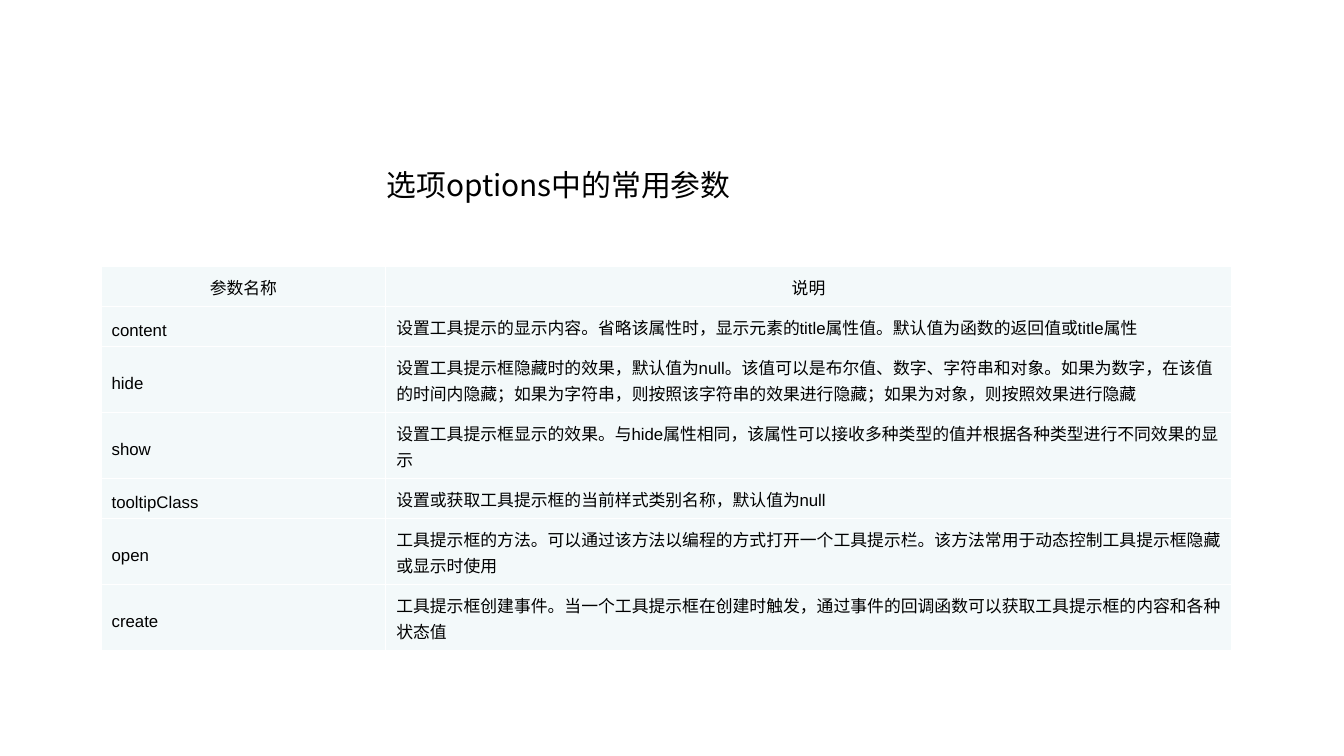
from lxml.etree import SubElement
from pptx import Presentation
from pptx.dml.color import RGBColor
from pptx.enum.text import MSO_ANCHOR, PP_ALIGN
from pptx.oxml.ns import qn
from pptx.util import Cm, Pt

BLACK = RGBColor(0x00, 0x00, 0x00)
WHITE = RGBColor(0xFF, 0xFF, 0xFF)
PALE_BLUE = RGBColor(0xF3, 0xF9, 0xFA)
LATIN_FONT = "Arial"
CHINESE_FONT = "Noto Sans CJK SC"

TITLE = "选项options中的常用参数"
COLUMN_WIDTHS = (5.38, 15.98)
SINGLE_ROW, DOUBLE_ROW = 0.53, 1.08
PARAMETERS = [
    (SINGLE_ROW, "参数名称", "说明"),
    (SINGLE_ROW, "content",
     "设置工具提示的显示内容。省略该属性时，显示元素的title属性值。默认值为函数的返回值或title属性"),
    (DOUBLE_ROW, "hide",
     "设置工具提示框隐藏时的效果，默认值为null。该值可以是布尔值、数字、字符串和对象。"
     "如果为数字，在该值的时间内隐藏；如果为字符串，则按照该字符串的效果进行隐藏；"
     "如果为对象，则按照效果进行隐藏"),
    (DOUBLE_ROW, "show",
     "设置工具提示框显示的效果。与hide属性相同，该属性可以接收多种类型的值并根据各种类型进行不同效果的显示"),
    (SINGLE_ROW, "tooltipClass", "设置或获取工具提示框的当前样式类别名称，默认值为null"),
    (DOUBLE_ROW, "open",
     "工具提示框的方法。可以通过该方法以编程的方式打开一个工具提示栏。"
     "该方法常用于动态控制工具提示框隐藏或显示时使用"),
    (DOUBLE_ROW, "create",
     "工具提示框创建事件。当一个工具提示框在创建时触发，"
     "通过事件的回调函数可以获取工具提示框的内容和各种状态值"),
]


def add_span(para, text, size, font_name):
    span = para.add_run()
    span.text = text
    span.font.size = Pt(size)
    span.font.name = font_name
    span.font.bold = False
    span.font.color.rgb = BLACK
    SubElement(span.font._element, qn("a:ea"), typeface=CHINESE_FONT)


def add_title(page):
    box = page.shapes.add_textbox(Cm(4.52), Cm(3.15), Cm(15.37), Cm(1.63))
    frame = box.text_frame
    frame.word_wrap = True
    frame.vertical_anchor = MSO_ANCHOR.TOP
    frame.margin_top = Cm(0)
    para = frame.paragraphs[0]
    para._p.get_or_add_pPr().set("marL", str(Cm(2.54)))
    add_span(para, TITLE, 16, CHINESE_FONT)


def add_borders(cell):
    properties = cell._tc.get_or_add_tcPr()
    for side in ("lnL", "lnR", "lnT", "lnB"):
        line = SubElement(properties, qn(f"a:{side}"), w=str(Pt(0.45)))
        fill = SubElement(line, qn("a:solidFill"))
        SubElement(fill, qn("a:srgbClr"), val=str(WHITE))


def fill_cell(cell, text, alignment):
    add_borders(cell)
    cell.fill.solid()
    cell.fill.fore_color.rgb = PALE_BLUE
    cell.vertical_anchor = MSO_ANCHOR.MIDDLE
    cell.margin_left = cell.margin_right = Cm(0.2)
    cell.margin_top = cell.margin_bottom = Cm(0.13)
    para = cell.text_frame.paragraphs[0]
    para.alignment = alignment
    para.line_spacing = Pt(14)
    add_span(para, text, 9, LATIN_FONT)


def add_parameter_table(page):
    height = sum(row[0] for row in PARAMETERS)
    table = page.shapes.add_table(
        len(PARAMETERS), len(COLUMN_WIDTHS),
        Cm(1.91), Cm(5.04), Cm(sum(COLUMN_WIDTHS)), Cm(height),
    ).table
    for column, width in zip(table.columns, COLUMN_WIDTHS):
        column.width = Cm(width)
    for index, (row_height, *texts) in enumerate(PARAMETERS):
        row = table.rows[index]
        row.height = Cm(row_height)
        alignment = PP_ALIGN.LEFT if index else PP_ALIGN.CENTER
        for cell, text in zip(row.cells, texts):
            fill_cell(cell, text, alignment)


def main():
    deck = Presentation()
    deck.slide_width = Cm(25.4)
    deck.slide_height = Cm(14.29)
    page = deck.slides.add_slide(deck.slide_layouts[6])
    add_parameter_table(page)
    add_title(page)
    deck.save("out.pptx")


if __name__ == "__main__":
    main()
